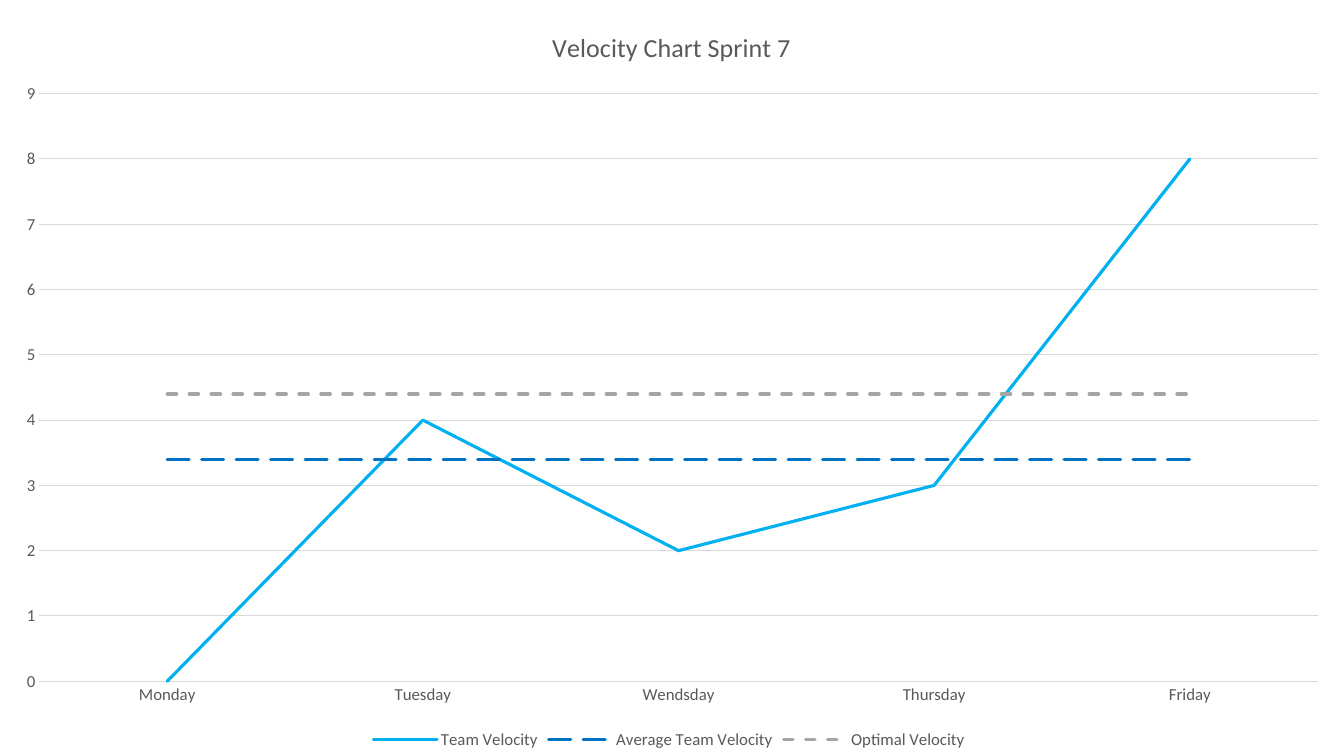
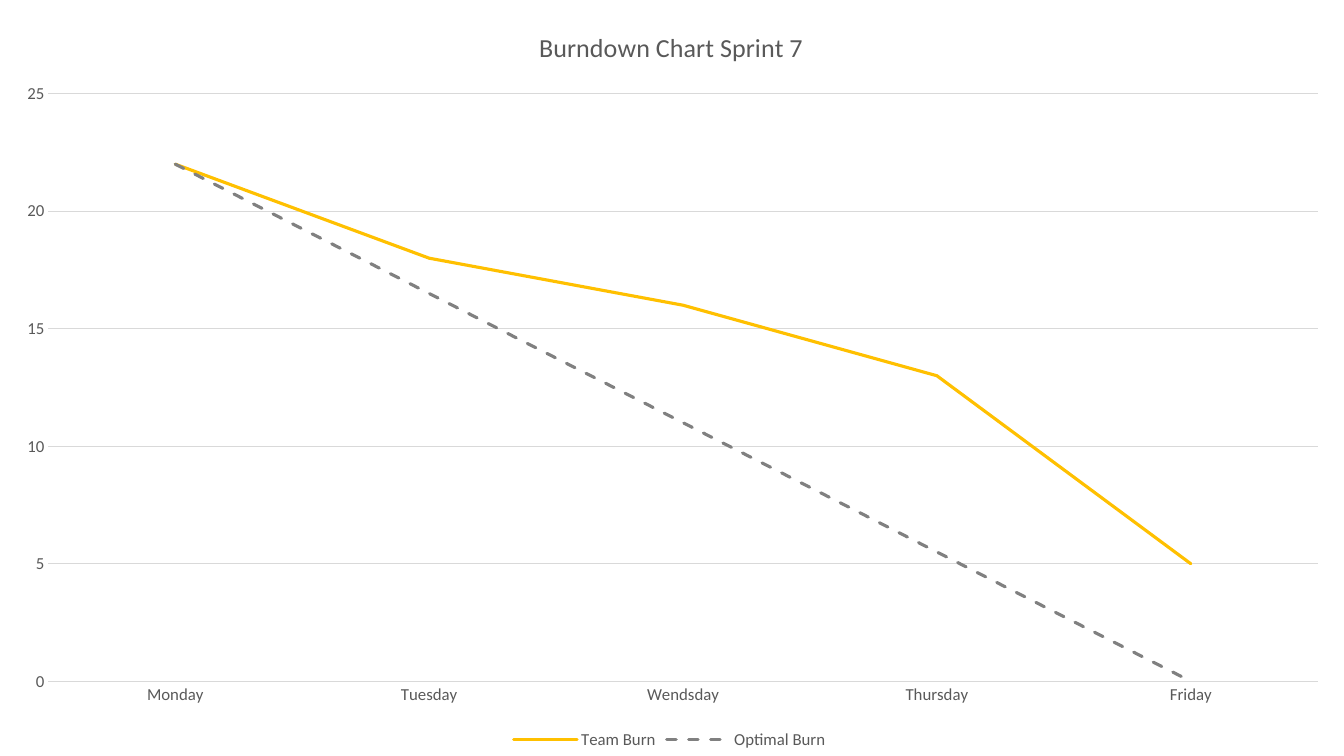
from lxml import etree
from pptx import Presentation
from pptx.chart.data import CategoryChartData
from pptx.dml.color import RGBColor
from pptx.enum.chart import XL_CHART_TYPE, XL_LEGEND_POSITION, XL_TICK_MARK
from pptx.enum.dml import MSO_LINE
from pptx.oxml.ns import qn
from pptx.util import Inches, Pt

LINE_CHART = XL_CHART_TYPE.LINE
BOTTOM = XL_LEGEND_POSITION.BOTTOM
NO_TICK = XL_TICK_MARK.NONE
SOLID, DASH, LONG_DASH = MSO_LINE.SOLID, MSO_LINE.DASH, MSO_LINE.LONG_DASH

FONT = "Calibri"
WHITE = RGBColor(0xFF, 0xFF, 0xFF)
TEXT = RGBColor(0x59, 0x59, 0x59)
GRID = RGBColor(0xD9, 0xD9, 0xD9)
SKY = RGBColor(0x00, 0xB0, 0xF0)
BLUE = RGBColor(0x00, 0x70, 0xC0)
SILVER = RGBColor(0xA5, 0xA5, 0xA5)
AMBER = RGBColor(0xFF, 0xC0, 0x00)
GRAY = RGBColor(0x80, 0x80, 0x80)

SLIDE_W, SLIDE_H = Inches(13.33), Inches(7.5)
DAYS = ["Monday", "Tuesday", "Wendsday", "Thursday", "Friday"]
PLOT_TOP, PLOT_RIGHT, PLOT_H = 0.93, 13.07, 5.83
TITLE_TOP, LEGEND_TOP = 0.24, 7.2

CHARTS = [
    {
        "title": "Velocity Chart Sprint 7",
        "title_left": 5.43, "legend_left": 3.65, "plot_left": 0.39,
        "top_value": 9, "step": 1,
        "series": [
            ("Team Velocity", [0, 4, 2, 3, 8], SKY, SOLID),
            ("Average Team Velocity", [3.4] * 5, BLUE, LONG_DASH),
            ("Optimal Velocity", [4.4] * 5, SILVER, DASH),
        ],
    },
    {
        "title": "Burndown Chart Sprint 7",
        "title_left": 5.3, "legend_left": 5.04, "plot_left": 0.48,
        "top_value": 25, "step": 5,
        "series": [
            ("Team Burn", [22, 18, 16, 13, 5], AMBER, SOLID),
            ("Optimal Burn", [22, 16.5, 11, 5.5, 0], GRAY, DASH),
        ],
    },
]


def style_font(font, size):
    font.name = FONT
    font.size = Pt(size)
    font.bold = False
    font.color.rgb = TEXT


def style_line(line, color, width):
    line.color.rgb = color
    line.width = Pt(width)


def place(parent, before, left, top, width=None, height=None):
    for old in parent.findall(qn("c:layout")):
        parent.remove(old)
    layout = etree.Element(qn("c:layout"))
    manual = etree.SubElement(layout, qn("c:manualLayout"))
    settings = [("xMode", "edge"), ("yMode", "edge"),
                ("x", left / SLIDE_W.inches), ("y", top / SLIDE_H.inches)]
    if width:
        settings.insert(0, ("layoutTarget", "inner"))
        settings += [("w", width / SLIDE_W.inches), ("h", height / SLIDE_H.inches)]
    for tag, value in settings:
        text = value if isinstance(value, str) else f"{value:.4f}"
        etree.SubElement(manual, qn("c:" + tag)).set("val", text)
    before.addprevious(layout)


def add_line_chart(s, spec_data):
    data = CategoryChartData()
    data.categories = DAYS
    for name, values, _, _ in spec_data["series"]:
        data.add_series(name, values)
    chart = s.shapes.add_chart(LINE_CHART, 0, 0, SLIDE_W, SLIDE_H, data).chart
    style_font(chart.font, 12)

    chart.has_title = True
    title = chart.chart_title
    title.include_in_layout = False
    r = title.text_frame.paragraphs[0].add_run()
    r.text = spec_data["title"]
    style_font(r.font, 18.6)
    title_xml = title._element
    place(title_xml, title_xml.find(qn("c:overlay")), spec_data["title_left"], TITLE_TOP)

    chart.has_legend = True
    legend = chart.legend
    legend.position = BOTTOM
    legend.include_in_layout = False
    style_font(legend.font, 12)
    legend_xml = legend._element
    place(legend_xml, legend_xml.find(qn("c:overlay")), spec_data["legend_left"], LEGEND_TOP)

    days, values = chart.category_axis, chart.value_axis
    for axis in (days, values):
        axis.major_tick_mark = axis.minor_tick_mark = NO_TICK
        style_font(axis.tick_labels.font, 12)
    style_line(days.format.line, GRID, 0.75)
    values.format.line.fill.background()
    values.has_major_gridlines = True
    style_line(values.major_gridlines.format.line, GRID, 0.75)
    values.minimum_scale = 0
    values.maximum_scale = spec_data["top_value"]
    values.major_unit = spec_data["step"]

    plot = chart.plots[0]
    plot.vary_by_categories = False
    left = spec_data["plot_left"]
    plot_xml = plot._element
    place(plot_xml.getparent(), plot_xml, left, PLOT_TOP, PLOT_RIGHT - left, PLOT_H)
    for series, (_, _, color, dash) in zip(plot.series, spec_data["series"]):
        series.smooth = False
        style_line(series.format.line, color, 2.25)
        series.format.line.dash_style = dash
        series.format.line._ln.set("cap", "rnd")


def main():
    prs = Presentation()
    prs.slide_width, prs.slide_height = SLIDE_W, SLIDE_H
    background = prs.slide_master.background.fill
    background.solid()
    background.fore_color.rgb = WHITE
    blank = prs.slide_layouts[6]
    for chart_data in CHARTS:
        add_line_chart(prs.slides.add_slide(blank), chart_data)
    prs.save("out.pptx")


if __name__ == "__main__":
    main()
